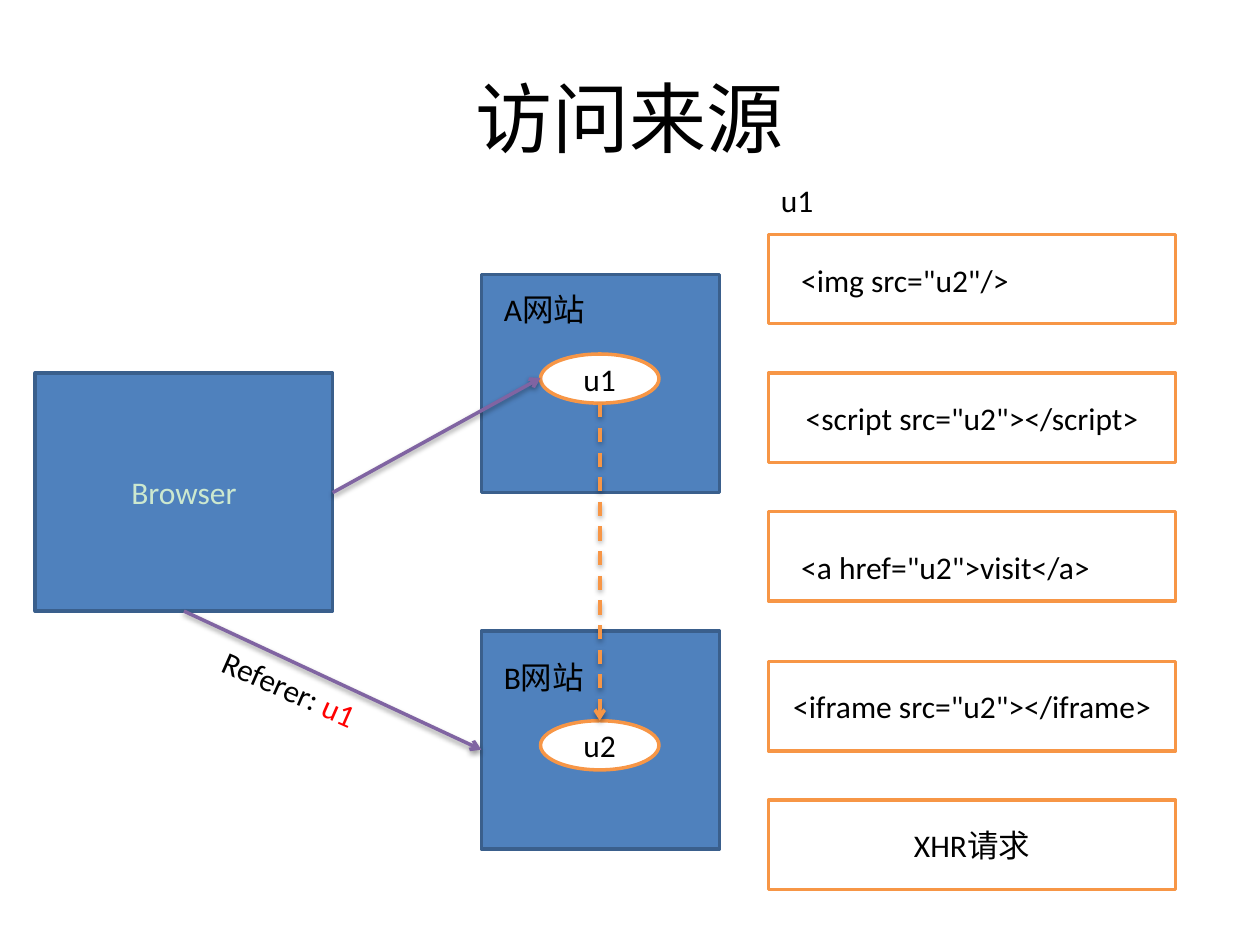
"""Build a slide on how a page visit passes on its referer."""
from lxml import etree
from pptx import Presentation
from pptx import util as u
from pptx.dml.color import RGBColor
from pptx.enum import dml, shapes, text
from pptx.oxml import parse_xml
from pptx.oxml.ns import nsdecls, qn

BLUE, NAVY, ORANGE, PURPLE = "4F81BD", "3A5F8C", "F79646", "8064A2"
WHITE, BLACK, MINT, RED = "FFFFFF", "000000", "CCE8CF", "FF0000"
RECT, OVAL = shapes.MSO_SHAPE.RECTANGLE, shapes.MSO_SHAPE.OVAL
MID, TOP = text.MSO_ANCHOR.MIDDLE, text.MSO_ANCHOR.TOP
LEFT, CENTER = text.PP_ALIGN.LEFT, text.PP_ALIGN.CENTER


def color(value):
    return RGBColor.from_string(value)


def write(shape, runs, size=18, anchor=TOP, align=LEFT):
    frame = shape.text_frame
    for key, value in {"word_wrap": True, "vertical_anchor": anchor}.items():
        setattr(frame, key, value)
    para = frame.paragraphs[0]
    para.alignment = align
    for words, ink in runs:
        run = para.add_run()
        run.text = words
        for key, value in {"name": "Calibri", "size": u.Pt(size)}.items():
            setattr(run.font, key, value)
        run.font.color.rgb = color(ink)


deck = Presentation()
deck.slide_width, deck.slide_height = u.Inches(10), u.Inches(7.5)
slide = deck.slides.add_slide(deck.slide_layouts[6])
slide.background.fill.solid()
slide.background.fill.fore_color.rgb = color(WHITE)

title = slide.shapes.add_textbox(*map(u.Inches, (0.5, 0.3, 9, 1.25)))
write(title, [("访问来源", BLACK)], 44, MID, CENTER)

site = (1.89, 1.73, RECT, BLUE, NAVY)
page = (0.94, 0.39, OVAL, WHITE, ORANGE)
card = (3.23, 0.71, RECT, WHITE, ORANGE)
boxes = [
    (3.82, 2.18, site, "", BLACK),
    (3.82, 5.01, site, "", BLACK),
    (4.29, 2.81, page, "u1", BLACK),
    (4.29, 5.72, page, "u2", BLACK),
    (0.28, 2.96, (2.36, 1.89, RECT, BLUE, NAVY), "Browser", MINT),
    (6.1, 1.86, card, "", BLACK),
    (6.1, 2.96, card, '<script src="u2"></script>', BLACK),
    (6.1, 4.06, card, "", BLACK),
    (6.1, 5.25, card, '<iframe src="u2"></iframe>', BLACK),
    (6.1, 6.35, card, "XHR请求", BLACK),
]
for x, y, (wide, high, kind, fill, edge), words, ink in boxes:
    box = slide.shapes.add_shape(kind, *map(u.Inches, (x, y, wide, high)))
    box.shadow.inherit = False
    box.fill.solid()
    box.fill.fore_color.rgb = color(fill)
    box.line.color.rgb = color(edge)
    box.line.width = u.Pt(2)
    if words:
        write(box, [(words, ink)], anchor=MID, align=CENTER)

arrows = [
    (4.76, 3.2, 4.76, 5.72, ORANGE, True),
    (2.64, 3.91, 4.29, 3, PURPLE, False),
    (1.46, 4.85, 3.82, 5.95, PURPLE, False),
]
for *ends, ink, dashed in arrows:
    arrow = slide.shapes.add_connector(
        shapes.MSO_CONNECTOR.STRAIGHT, *map(u.Inches, ends))
    arrow.line.color.rgb = color(ink)
    arrow.line.width = u.Pt(2)
    if dashed:
        arrow.line.dash_style = dml.MSO_LINE.DASH
    etree.SubElement(arrow.line._get_or_add_ln(), qn("a:tailEnd"), type="arrow")
    arrow._element.spPr.append(parse_xml(
        f'<a:effectLst {nsdecls("a")}><a:outerShdw blurRad="{u.Pt(3.1)}" '
        f'dist="{u.Pt(1.6)}" dir="5400000" rotWithShape="0">'
        '<a:srgbClr val="000000"><a:alpha val="38000"/></a:srgbClr>'
        '</a:outerShdw></a:effectLst>'))

labels = [
    (6.1, 1.39, 0.47, 0, [("u1", BLACK)]),
    (6.26, 2.02, 1.89, 0, [('<img src="u2"/>', BLACK)]),
    (6.26, 4.3, 2.52, 0, [('<a href="u2">visit</a>', BLACK)]),
    (3.9, 2.25, 2.05, 0, [("A网站", BLACK)]),
    (3.9, 5.17, 2.05, 0, [("B网站", BLACK)]),
    (1.52, 5.81, 4.02, 23.9, [("Referer: ", BLACK), ("u1", RED)]),
]
for x, y, wide, turn, runs in labels:
    label = slide.shapes.add_textbox(*map(u.Inches, (x, y, wide, 0.4)))
    label.rotation = turn
    write(label, runs)

deck.save("out.pptx")
